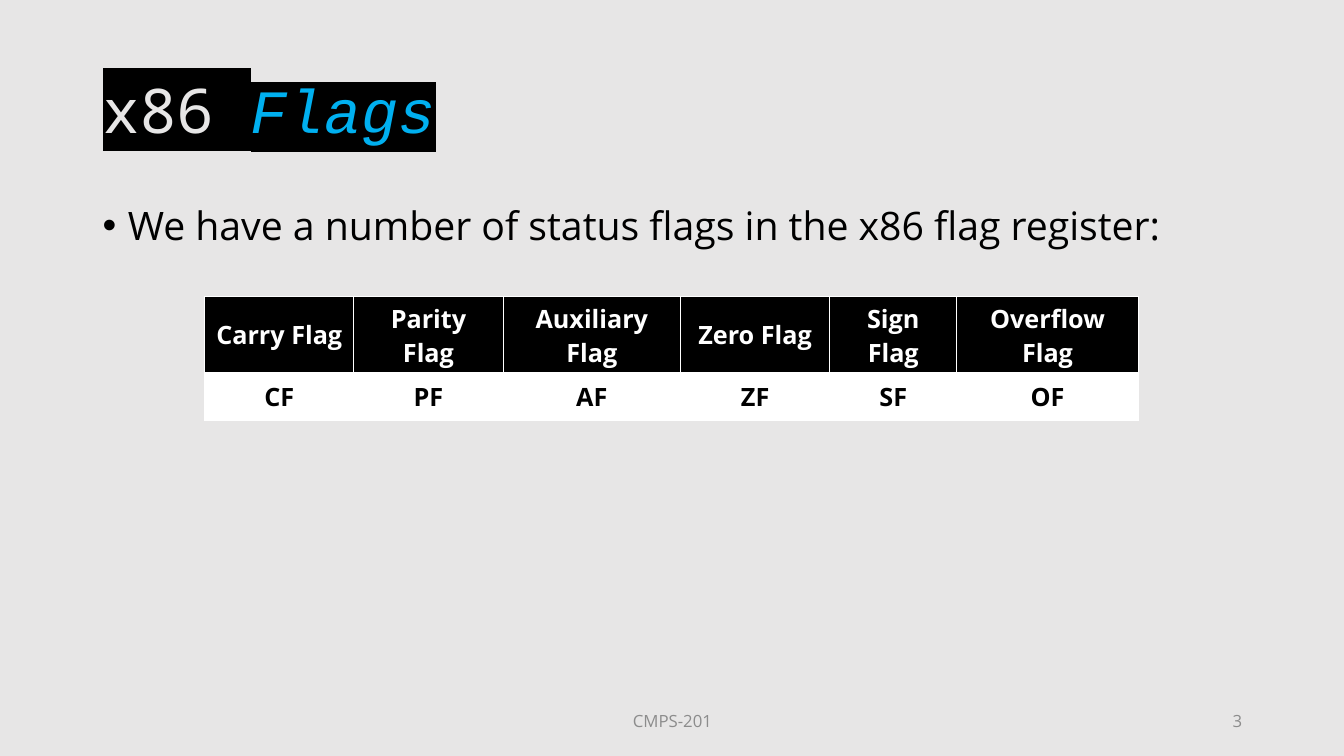
"""Build the x86 status flags slide."""
import pptx
import pptx.dml.color
import pptx.enum.text
import pptx.oxml
import pptx.oxml.ns
import pptx.util

Inches = pptx.util.Inches
Align = pptx.enum.text.PP_ALIGN
Anchor = pptx.enum.text.MSO_ANCHOR

THEME = {
    "background": "E7E6E6", "dark": "000000", "light": "FFFFFF",
    "title": "E7E6E6", "accent": "00B0F0", "footer": "8C8C8C",
    "sans": "Open Sans", "mono": "Noto Sans Mono", "code": "Courier New",
    "title_size": 44, "body_size": 28, "table_size": 18, "footer_size": 12,
}

TITLE = [("x86 ", "mono", "title", False), ("Flags", "code", "accent", True)]
STATEMENT = "We have a number of status flags in the x86 flag register:"
FLAGS = [
    ("Carry Flag", "CF", 1.48),
    ("Parity Flag", "PF", 1.48),
    ("Auxiliary Flag", "AF", 1.76),
    ("Zero Flag", "ZF", 1.48),
    ("Sign Flag", "SF", 1.26),
    ("Overflow Flag", "OF", 1.8),
]
FOOTERS = [("CMPS-201", 4.42, 4.5, Align.CENTER), ("3", 9.42, 3, Align.RIGHT)]
TABLE_LEFT, TABLE_TOP = 2.03, 2.94
ROW_HEIGHTS = (0.77, 0.46)


def color(name):
    return pptx.dml.color.RGBColor.from_string(THEME[name])


def style(span, size, ink, face="sans", bold=False, italic=False):
    font = span.font
    font.name, font.size = THEME[face], pptx.util.Pt(THEME[size])
    font.bold, font.italic = bold, italic
    font.color.rgb = color(ink)


def make_xml(tag, attributes="", content=""):
    namespace = pptx.oxml.ns.nsdecls("a")
    return pptx.oxml.parse_xml(f"<a:{tag} {namespace} {attributes}>{content}</a:{tag}>")


def highlight(span):
    mark = make_xml("highlight", content=f'<a:srgbClr val="{THEME["dark"]}"/>')
    span._r.get_or_add_rPr().find(pptx.oxml.ns.qn("a:solidFill")).addnext(mark)


def add_text(page, left, top, width, height, anchor):
    box = page.shapes.add_textbox(Inches(left), Inches(top), Inches(width), Inches(height))
    frame = box.text_frame
    frame.word_wrap, frame.vertical_anchor = True, anchor
    return frame.paragraphs[0]


def add_title(page):
    para = add_text(page, 0.92, 0.4, 11.5, 1.45, Anchor.MIDDLE)
    para.line_spacing = 0.9
    for text, face, ink, italic in TITLE:
        span = para.add_run()
        span.text = text
        style(span, "title_size", ink, face, italic=italic)
        highlight(span)


def add_statement(page):
    para = add_text(page, 0.92, 2, 11.5, 4.76, Anchor.TOP)
    para.text = STATEMENT
    para.line_spacing, para.space_before = 0.9, pptx.util.Pt(10)
    style(para.runs[0], "body_size", "dark")
    properties = para._p.get_or_add_pPr()
    properties.set("marL", str(Inches(0.25)))
    properties.set("indent", str(Inches(-0.25)))
    properties.append(make_xml("buFont", 'typeface="Arial"'))
    properties.append(make_xml("buChar", 'char="•"'))


def fill_cell(cell, text, ink, fill, bottom):
    cell.text = text
    cell.vertical_anchor = Anchor.MIDDLE
    para = cell.text_frame.paragraphs[0]
    para.alignment = Align.CENTER
    style(para.runs[0], "table_size", ink, bold=True)
    line_fill = f'<a:solidFill><a:srgbClr val="{THEME["light"]}"/></a:solidFill>'
    for side, points in (("L", 1), ("R", 1), ("T", 1), ("B", bottom)):
        border = make_xml(f"ln{side}", f'w="{pptx.util.Pt(points)}"', line_fill)
        cell._tc.get_or_add_tcPr().append(border)
    cell.fill.solid()
    cell.fill.fore_color.rgb = color(fill)


def add_flag_table(page):
    width = sum(flag[2] for flag in FLAGS)
    table = page.shapes.add_table(len(ROW_HEIGHTS), len(FLAGS),
                                  Inches(TABLE_LEFT), Inches(TABLE_TOP),
                                  Inches(width), Inches(sum(ROW_HEIGHTS))).table
    for row, height in zip(table.rows, ROW_HEIGHTS):
        row.height = Inches(height)
    for column, (name, code, column_width) in enumerate(FLAGS):
        table.columns[column].width = Inches(column_width)
        fill_cell(table.cell(0, column), name, "light", "dark", 3)
        fill_cell(table.cell(1, column), code, "dark", "light", 1)


def add_footers(page):
    for text, left, width, alignment in FOOTERS:
        para = add_text(page, left, 6.95, width, 0.4, Anchor.MIDDLE)
        para.text, para.alignment = text, alignment
        style(para.runs[0], "footer_size", "footer")


deck = pptx.Presentation()
deck.slide_width, deck.slide_height = Inches(13.33), Inches(7.5)
page = deck.slides.add_slide(deck.slide_layouts[6])
page.background.fill.solid()
page.background.fill.fore_color.rgb = color("background")
add_title(page)
add_statement(page)
add_flag_table(page)
add_footers(page)
deck.save("out.pptx")
